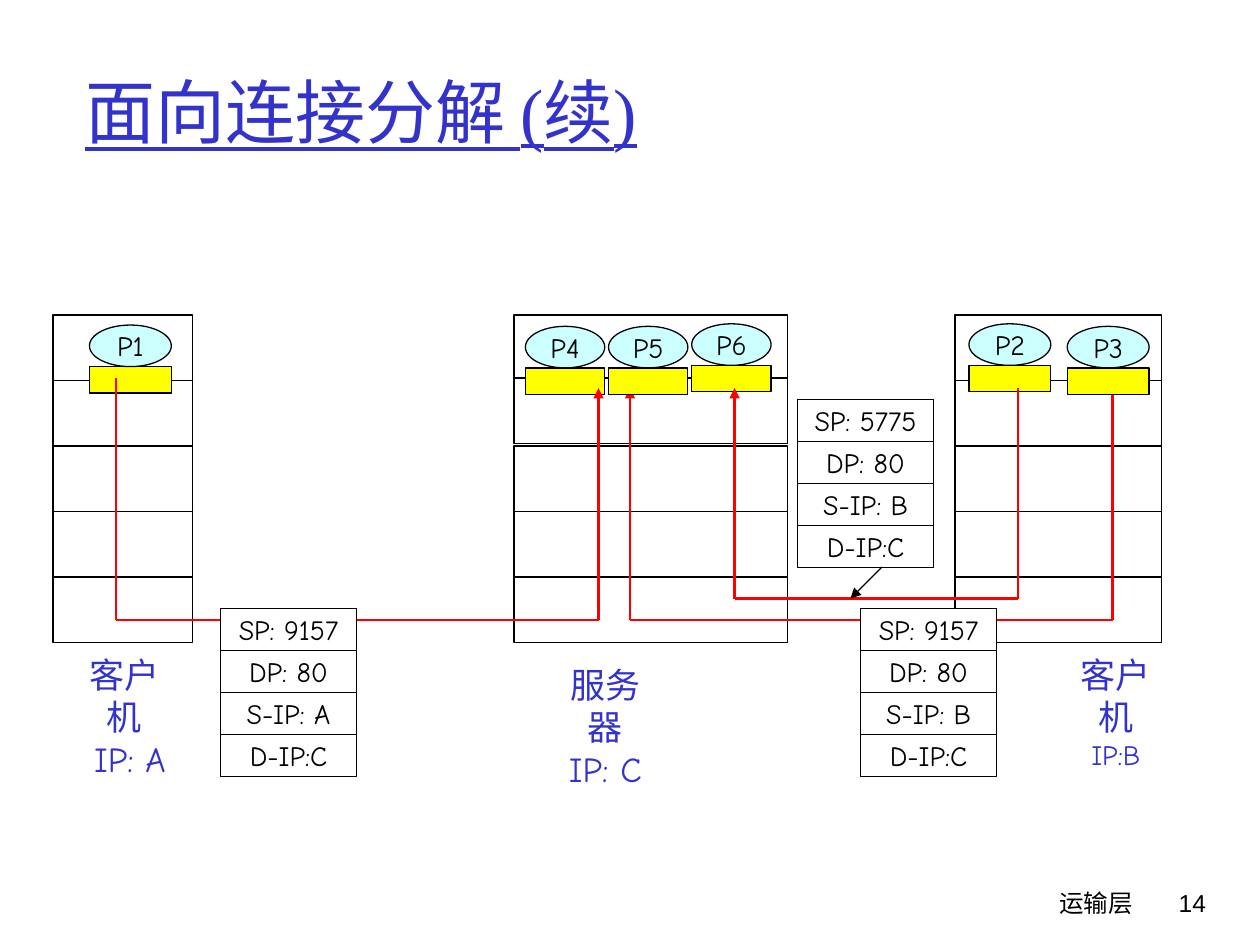
from pptx import Presentation
from pptx.dml.color import RGBColor
from pptx.enum.shapes import MSO_CONNECTOR, MSO_SHAPE
from pptx.enum.text import MSO_ANCHOR, PP_ALIGN
from pptx.oxml.ns import qn
from pptx.util import Inches, Pt
from lxml.etree import SubElement

COLORS = {
    "black": "000000",
    "white": "FFFFFF",
    "blue": "3333CC",
    "red": "FF0000",
    "yellow": "FFFF00",
    "cyan": "CCFFFF",
}
BODY_FONT = "Comic Neue"
STACK_TOP = 2.5
LAYER_HEIGHT = 0.52
EVEN_LAYERS = [STACK_TOP + LAYER_HEIGHT * layer for layer in range(5)]
SERVER_LAYERS = [2.5, 3, 3.54, 4.06, 4.58]
PROCESS_HEIGHT, SOCKET_HEIGHT = 0.33, 0.21
FIELD_WIDTH, FIELD_HEIGHT = 1.08, 1 / 3


def color(name):
    return RGBColor.from_string(COLORS[name])


def write(shape, lines, sizes, color_name, alignment=PP_ALIGN.CENTER,
          font=BODY_FONT, underline=None, anchor=MSO_ANCHOR.TOP, wrap=False):
    frame = shape.text_frame
    frame.word_wrap = wrap
    frame.vertical_anchor = anchor
    frame.text = "\n".join(lines)
    for paragraph, size in zip(frame.paragraphs, sizes):
        paragraph.alignment = alignment
        paragraph.font.name = font
        paragraph.font.size = Pt(size)
        paragraph.font.color.rgb = color(color_name)
        paragraph.font.underline = underline


def add_text(slide, left, top, width, height, lines, sizes, color_name, **style):
    box = slide.shapes.add_textbox(Inches(left), Inches(top), Inches(width), Inches(height))
    write(box, lines, sizes, color_name, **style)


def add_block(slide, left, top, width, height, fill, text=None, kind=MSO_SHAPE.RECTANGLE):
    shape = slide.shapes.add_shape(
        kind, Inches(left), Inches(top), Inches(width), Inches(height))
    shape.shadow.inherit = False
    shape.fill.solid()
    shape.fill.fore_color.rgb = color(fill)
    shape.line.color.rgb = color("black")
    shape.line.width = Pt(0.75)
    if text:
        write(shape, [text], [16], "black", anchor=MSO_ANCHOR.MIDDLE)


def add_stack(slide, left, width, layer_tops):
    for top in layer_tops:
        add_block(slide, left, top, width, LAYER_HEIGHT, "white")


def add_process(slide, name, left, top, width):
    """A process with its socket directly below."""
    add_block(slide, left, top + PROCESS_HEIGHT, width, SOCKET_HEIGHT, "yellow")
    add_block(slide, left, top, width, PROCESS_HEIGHT, "cyan", name, MSO_SHAPE.OVAL)


def add_line(slide, start, end, color_name, width, arrow=False):
    line = slide.shapes.add_connector(
        MSO_CONNECTOR.STRAIGHT, *(Inches(value) for value in (*start, *end)))
    line.line.color.rgb = color(color_name)
    line.line.width = Pt(width)
    if arrow:
        SubElement(line.line._get_or_add_ln(), qn("a:tailEnd"), type="triangle")
    SubElement(line._element.spPr, qn("a:effectLst"))


def add_connection(slide, client_x, client_y, server_x, bottom):
    """Down from the client, across, and up to the server socket."""
    points = [(client_x, client_y), (client_x, bottom), (server_x, bottom), (server_x, 3.08)]
    for index, (start, end) in enumerate(zip(points, points[1:])):
        add_line(slide, start, end, "red", 1.5, arrow=index == 2)


def add_segment(slide, left, top, source_port, source):
    fields = [f"SP: {source_port}", "DP: 80", f"S-IP: {source}", "D-IP:C"]
    for index, field in enumerate(fields):
        add_block(slide, left, top + index * FIELD_HEIGHT, FIELD_WIDTH, FIELD_HEIGHT,
                  "white", field)


def main():
    presentation = Presentation()
    presentation.slide_width, presentation.slide_height = Inches(10), Inches(7.5)
    slide = presentation.slides.add_slide(presentation.slide_layouts[6])

    # Title and footer
    add_text(slide, 0.58, 0.25, 8.5, 1.25, ["面向连接分解 (续)"], [40], "blue",
             alignment=PP_ALIGN.LEFT, font="Times New Roman", underline=True,
             anchor=MSO_ANCHOR.MIDDLE, wrap=True)
    add_text(slide, 5.92, 7, 3.17, 0.5, ["运输层"], [14], "black",
             alignment=PP_ALIGN.RIGHT, wrap=True)
    add_text(slide, 8.93, 7, 0.74, 0.5, ["14"], [14], "black",
             alignment=PP_ALIGN.RIGHT, font="Arial", wrap=True)

    # Protocol stacks of client A, server C and client B
    add_stack(slide, 0.42, 1.11, EVEN_LAYERS)
    add_stack(slide, 4.08, 2.17, SERVER_LAYERS)
    add_stack(slide, 7.58, 1.64, EVEN_LAYERS)

    # Host names
    add_text(slide, 0.47, 5.14, 1.03, 0.77, ["客户机", " IP: A"], [20, 20], "blue")
    add_text(slide, 4.29, 5.22, 1.03, 0.77, ["服务器", "IP: C"], [20, 20], "blue")
    add_text(slide, 8.34, 5.14, 1.03, 0.7, ["客户机", "IP:B"], [20, 16], "blue")

    # Processes and connections, from back to front
    add_process(slide, "P1", 0.71, 2.58, 0.65)
    add_process(slide, "P4", 4.17, 2.59, 0.63)
    add_connection(slide, 0.92, 3, 4.75, 4.92)
    add_connection(slide, 8.83, 3, 5, 4.92)
    add_process(slide, "P5", 4.83, 2.59, 0.63)
    add_process(slide, "P6", 5.49, 2.57, 0.63)
    add_process(slide, "P2", 7.69, 2.57, 0.65)
    add_process(slide, "P3", 8.47, 2.59, 0.65)
    add_connection(slide, 8.08, 3.08, 5.83, 4.75)

    # Segment headers
    add_segment(slide, 1.75, 4.83, 9157, "A")
    add_segment(slide, 6.83, 4.83, 9157, "B")
    add_segment(slide, 6.33, 3.17, 5775, "B")
    add_line(slide, (7, 4.5), (6.75, 4.75), "black", 0.75, arrow=True)

    presentation.save("out.pptx")


if __name__ == "__main__":
    main()
